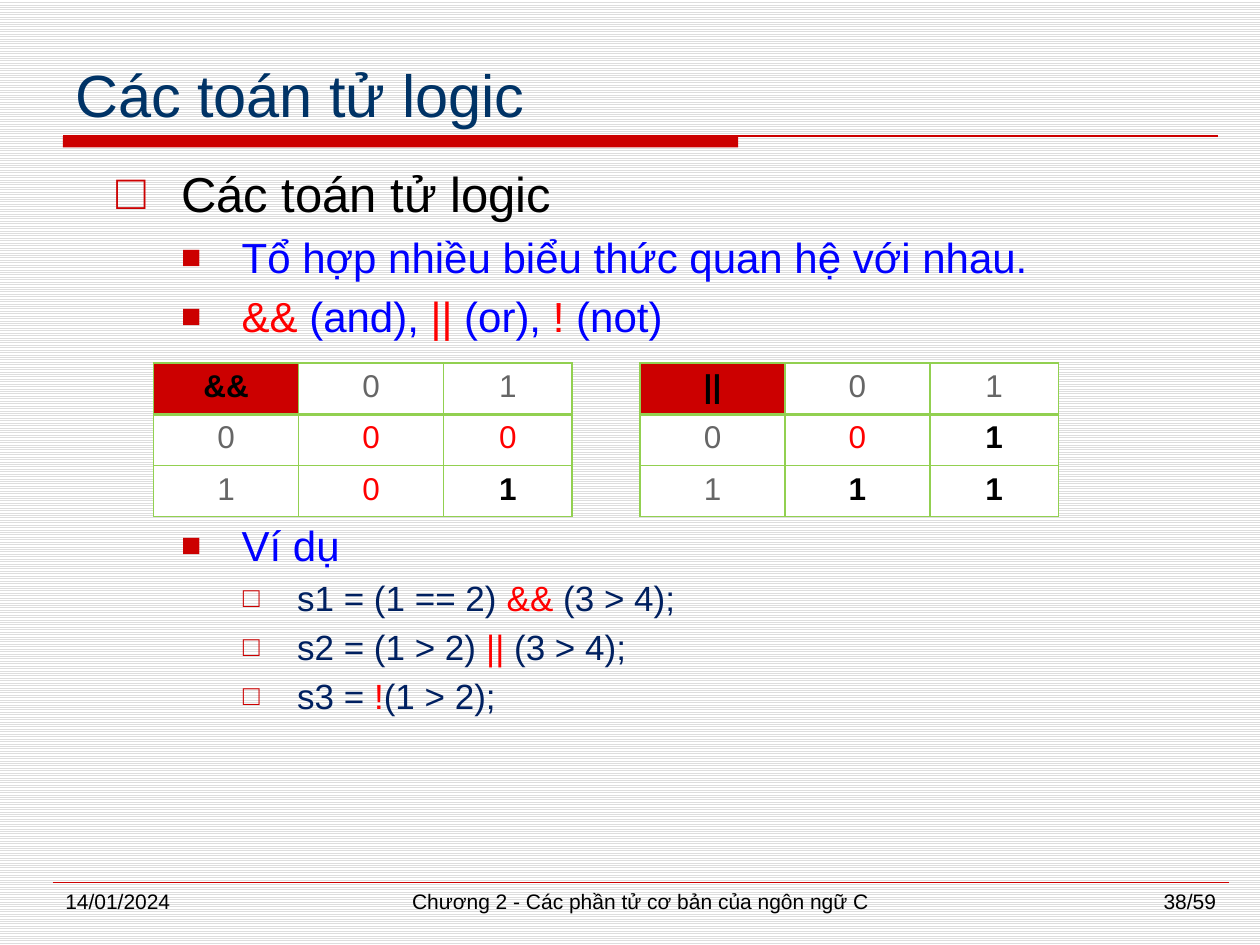
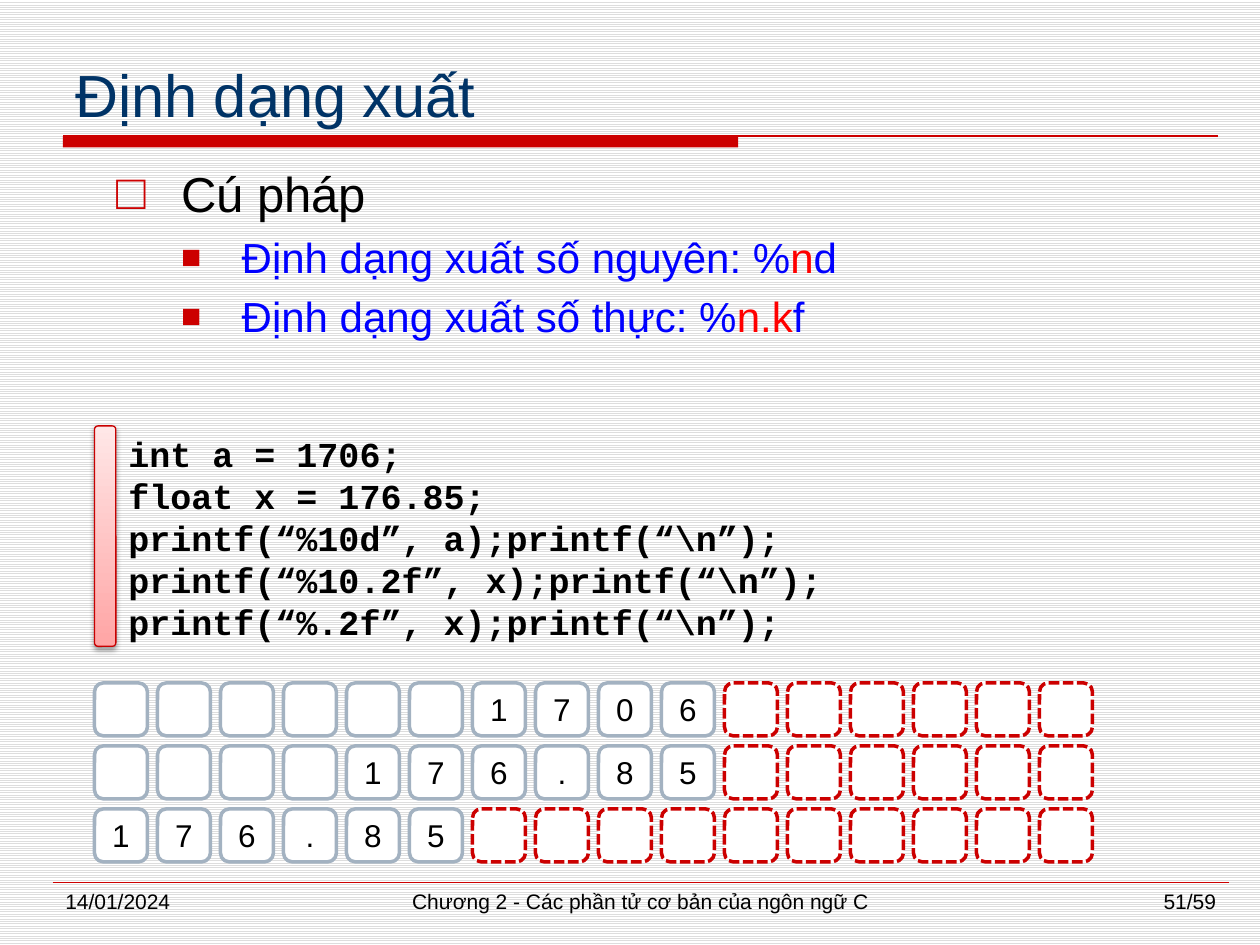
from dataclasses import dataclass
from lxml.etree import SubElement as Sub
from pptx import Presentation
from pptx.dml.color import RGBColor as RGB
from pptx.enum.dml import MSO_LINE as Dash, MSO_PATTERN as Pattern
from pptx.enum.shapes import MSO_CONNECTOR as Link, MSO_SHAPE as Shape
from pptx.enum.text import MSO_ANCHOR as Anchor, PP_ALIGN as Align
from pptx.oxml.ns import qn
from pptx.util import Inches, Pt


@dataclass(frozen=True)
class Theme:
    sans: str = "Arial"
    mono: str = "Courier New"
    head: str = "003366"
    red: str = "CC0000"
    mark: str = "FF0000"
    blue: str = "0000FF"
    navy: str = "002060"
    black: str = "000000"
    white: str = "FFFFFF"
    gray: str = "666666"
    steel: str = "A3B2C1"
    green: str = "92D050"
    stripe: str = "DDDDDD"
    barlow: str = "FFA5A5"
    bartop: str = "FFE7E7"
    barline: str = "C80000"
    title: int = 34
    code: int = 20
    cell: int = 18
    foot: int = 12


T = Theme()

# Outline levels: size, colour, indent, hanging, space before, bullet, bullet %
LEVELS = (
    (28, T.black, 0.51, 0.51, 0, "□", 100),
    (24, T.blue, 0.99, 0.48, 5, "■", 80),
    (20, T.navy, 1.43, 0.43, 4, "□", 80),
)


# Shared helpers
def assign(item, values):
    for name, value in values.items():
        setattr(item, name, value)


def node(parent, tag, **attrs):
    return Sub(parent, qn(tag), {k: str(v) for k, v in attrs.items()})


def write(para, text, size, color, face=T.sans, bold=False):
    run = para.add_run()
    run.text = text
    assign(run.font, {"size": Pt(size), "name": face, "bold": bold})
    run.font.color.rgb = RGB.from_string(color)


def textbox(slide, box, anchor=Anchor.TOP):
    frame = slide.shapes.add_textbox(*map(Inches, box)).text_frame
    assign(frame, {"word_wrap": True, "vertical_anchor": anchor})
    return frame


def block(slide, kind, box, fill=None, line=None, width=1):
    shape = slide.shapes.add_shape(kind, *map(Inches, box))
    shape.shadow.inherit = False
    if fill:
        shape.fill.solid()
        shape.fill.fore_color.rgb = RGB.from_string(fill)
    if line:
        shape.line.color.rgb = RGB.from_string(line)
        shape.line.width = Pt(width)
    else:
        shape.line.fill.background()
    return shape


def rule(slide, left, top, width, weight):
    ends = map(Inches, (left, top, left + width, top))
    link = slide.shapes.add_connector(Link.STRAIGHT, *ends)
    link.line.color.rgb = RGB.from_string(T.red)
    link.line.width = Pt(weight)
    node(link._element.spPr, "a:effectLst")


# Title with its two-weight band
def header(slide, box, title):
    left, top, width, height = box
    frame = textbox(slide, box, Anchor.BOTTOM)
    write(frame.paragraphs[0], title, T.title, T.head)
    base = top + height
    block(slide, Shape.RECTANGLE, (left, base, 5.36, 0.09), T.red)
    rule(slide, left, base, width, 1.5)


# Date, chapter and page number
def footer(slide, box, page):
    left, top, width, height = box
    rule(slide, left, top, width, 0.25)
    parts = (
        (0, 2.17, Align.LEFT, "14/01/2024"),
        (2.5, 4.33, Align.CENTER, "Chương 2 - Các phần tử cơ bản của ngôn ngữ C"),
        (width - 2.17, 2.17, Align.RIGHT, f"{page}/59"),
    )
    for shift, span, align, text in parts:
        para = textbox(slide, (left + shift, top, span, height)).paragraphs[0]
        para.alignment = align
        write(para, text, T.foot, T.black)


# Bulleted outline: each item is (level, pieces, extra space before);
# every second piece is highlighted
def outline(slide, box, items):
    frame = textbox(slide, box)
    for row, (level, pieces, extra) in enumerate(items):
        size, color, indent, hang, gap, sign, scale = LEVELS[level]
        para = frame.add_paragraph() if row else frame.paragraphs[0]
        props = para._p.get_or_add_pPr()
        props.set("marL", str(Inches(indent)))
        props.set("indent", str(-Inches(hang)))
        node(node(props, "a:buClr"), "a:srgbClr", val=T.red)
        node(props, "a:buSzPct", val=scale * 1000)
        node(props, "a:buFont", typeface=T.sans)
        node(props, "a:buChar", char=sign)
        assign(para, {"alignment": Align.JUSTIFY, "level": level,
                      "space_before": Pt(gap + extra)})
        for spot, piece in enumerate(pieces):
            if piece:
                write(para, piece, size, T.mark if spot % 2 else color)


# Truth table of one operator
def truth(slide, box, sign, results):
    left, top, width, height = box
    grid = ((sign, "0", "1"), ("0", *results[0]), ("1", *results[1]))
    table = slide.shapes.add_table(3, 3, *map(Inches, box)).table
    for col, span in zip(table.columns, (1.15, 1.15, width - 2.3)):
        col.width = Inches(span)
    for r, line in enumerate(grid):
        table.rows[r].height = Inches(height / 3)
        for c, text in enumerate(line):
            corner = r == c == 0
            bold = corner or (r > 0 and c > 0 and text == "1")
            if bold:
                color = T.black
            else:
                color = T.mark if r and c else T.gray
            cell = table.cell(r, c)
            para = cell.text_frame.paragraphs[0]
            para.alignment = Align.CENTER
            write(para, text, T.cell, color, bold=bold)
            props = cell._tc.get_or_add_tcPr()
            for side in "LRTB":
                thick = (r == 0 and side == "B") or (r == 1 and side == "T")
                edge = node(props, f"a:ln{side}", w=Pt(2 if thick else 1))
                node(node(edge, "a:solidFill"), "a:srgbClr", val=T.green)
            cell.fill.solid()
            cell.fill.fore_color.rgb = RGB.from_string(T.red if corner else T.white)


# Code listing beside a gradient bar
def listing(slide, box, lines):
    left, top, width, height = box
    bar = block(slide, Shape.ROUNDED_RECTANGLE, (left, top, 0.17, height),
                line=T.barline, width=0.75)
    bar.fill.gradient()
    bar.fill.gradient_angle = 90
    for stop, color in zip(bar.fill.gradient_stops, (T.barlow, T.bartop)):
        stop.color.rgb = RGB.from_string(color)
    effects = bar._element.spPr.find(qn("a:effectLst"))
    shade = node(effects, "a:outerShdw", blurRad=Pt(3.1), dist=Pt(1.6),
                 dir=90 * 60000, rotWithShape=0)
    node(node(shade, "a:srgbClr", val=T.black), "a:alpha", val=38000)
    frame = textbox(slide, (left + 0.17, top, width - 0.17, height))
    for row, text in enumerate(lines):
        para = frame.add_paragraph() if row else frame.paragraphs[0]
        write(para, text, T.code, T.black, T.mono, True)


# Screen rows: printed cells, then dashed free cells
def screen(slide, box, rows, count=16):
    left, top, width, height = box
    pitch, side = 0.5, 0.42
    for r, text in enumerate(rows):
        for c in range(count):
            used = c < len(text)
            place = (left + c * pitch, top + r * pitch, side, side)
            tile = block(slide, Shape.ROUNDED_RECTANGLE, place, T.white,
                         T.steel if used else T.red, 2)
            if not used:
                tile.line.dash_style = Dash.SQUARE_DOT
            elif text[c] != " ":
                frame = tile.text_frame
                assign(frame, {"word_wrap": False, "vertical_anchor": Anchor.MIDDLE})
                para = frame.paragraphs[0]
                para.alignment = Align.CENTER
                write(para, text[c], T.cell, T.black)


# Frame shared by the slides
def page(deck, title, number, items):
    slide = deck.slides.add_slide(deck.slide_layouts[6])
    fill = slide.background.fill
    fill.patterned()
    fill.pattern = Pattern.LIGHT_HORIZONTAL
    fill.fore_color.rgb = RGB.from_string(T.stripe)
    fill.back_color.rgb = RGB.from_string(T.white)
    header(slide, (0.5, 0.33, 9.17, 0.75), title)
    outline(slide, (0.83, 1.25, 8.67, 5.67), items)
    footer(slide, (0.42, 7, 9.33, 0.35), number)
    return slide


def logic(deck):
    slide = page(deck, "Các toán tử logic", 38, (
        (0, ["Các toán tử logic"], 0),
        (1, ["Tổ hợp nhiều biểu thức quan hệ với nhau."], 0),
        (1, ["", "&&", " (and), ", "||", " (or), ", "!", " (not)"], 0),
        (1, ["Ví dụ"], 97),
        (2, ["s1 = (1 == 2) ", "&&", " (3 > 4);"], 0),
        (2, ["s2 = (1 > 2) ", "||", " (3 > 4);"], 0),
        (2, ["s3 = ", "!", "(1 > 2);"], 0),
    ))
    truth(slide, (1.22, 2.88, 3.32, 1.22), "&&", ("00", "01"))
    truth(slide, (5.08, 2.88, 3.32, 1.22), "||", ("01", "11"))


def output(deck):
    slide = page(deck, "Định dạng xuất", 51, (
        (0, ["Cú pháp"], 0),
        (1, ["Định dạng xuất số nguyên: %", "n", "d"], 0),
        (1, ["Định dạng xuất số thực: %", "n.k", "f"], 0),
    ))
    listing(slide, (0.75, 3.38, 7.84, 1.75), (
        "int a = 1706;",
        "float x = 176.85;",
        "printf(“%10d”, a);printf(“\\n”);",
        "printf(“%10.2f”, x);printf(“\\n”);",
        "printf(“%.2f”, x);printf(“\\n”);",
    ))
    screen(slide, (0.75, 5.42, 7.92, 1.42),
           ("1706".rjust(10), "176.85".rjust(10), "176.85"))


def main():
    deck = Presentation()
    assign(deck, {"slide_width": Inches(10), "slide_height": Inches(7.5)})
    logic(deck)
    output(deck)
    deck.save("out.pptx")


if __name__ == "__main__":
    main()
